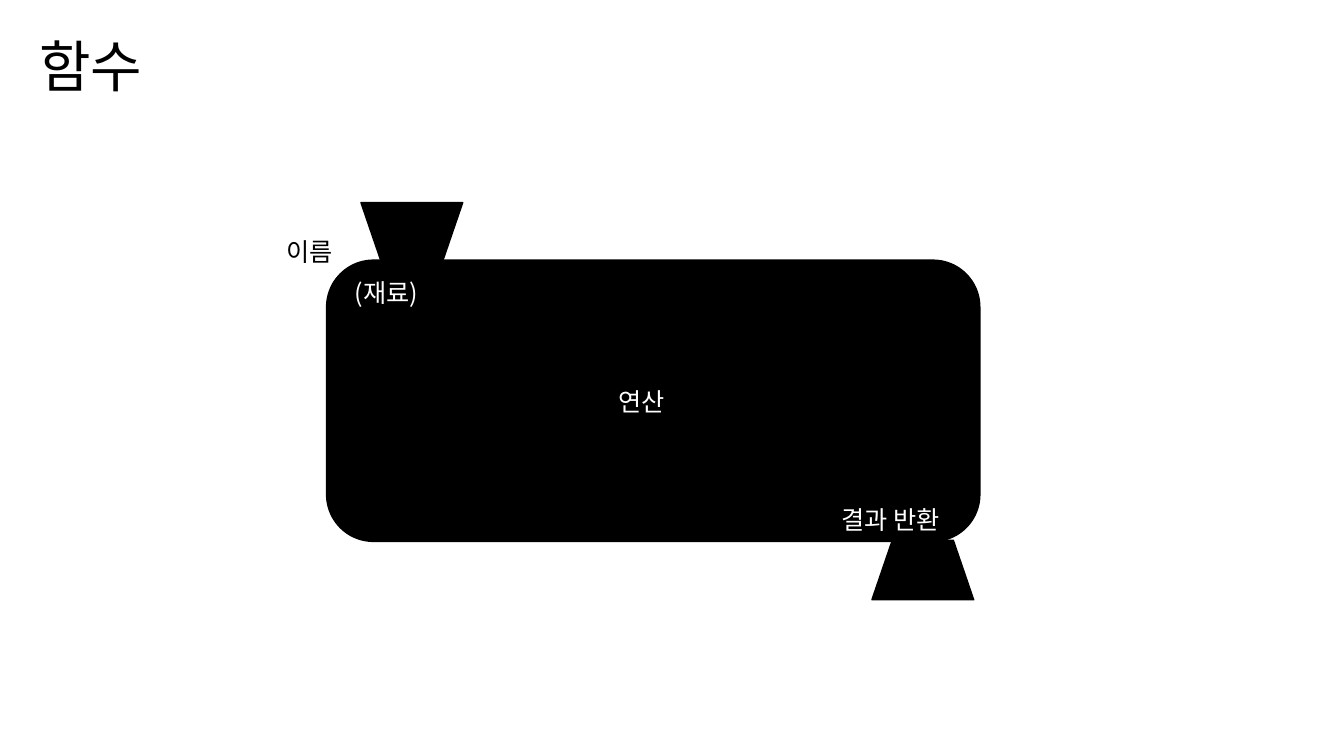
from dataclasses import dataclass

import lxml.etree
import pptx
import pptx.dml.color
import pptx.enum.shapes
import pptx.enum.text
import pptx.oxml.ns
import pptx.slide
import pptx.util

BLACK = pptx.dml.color.RGBColor(0x00, 0x00, 0x00)
WHITE = pptx.dml.color.RGBColor(0xFF, 0xFF, 0xFF)
FONT_NAME = "Noto Sans CJK KR"
AutoShape = pptx.enum.shapes.MSO_SHAPE


@dataclass(frozen=True)
class Box:
    left: float
    top: float
    width: float
    height: float

    def lengths(self) -> list[pptx.util.Length]:
        return [pptx.util.Pt(value) for value in (self.left, self.top, self.width, self.height)]


@dataclass(frozen=True)
class MachinePart:
    kind: AutoShape
    box: Box
    rotation: float = 0


@dataclass(frozen=True)
class Label:
    text: str
    box: Box
    color: pptx.dml.color.RGBColor = WHITE
    size: float = 18
    wrap: bool = True


MACHINE_PARTS = [
    MachinePart(AutoShape.ROUNDED_RECTANGLE, Box(233.3, 185.8, 466.6, 200.9)),
    MachinePart(AutoShape.FLOWCHART_MANUAL_OPERATION, Box(257.8, 144.7, 72.7, 42.5)),
    MachinePart(AutoShape.FLOWCHART_MANUAL_OPERATION, Box(622.8, 385.9, 72.7, 42.5), 180),
]

LABELS = [
    Label("함수", Box(20.9, 18.7, 260.6, 55.4), BLACK, 40),
    Label("(재료)", Box(246.2, 194.4, 162.7, 28.8)),
    Label("결과 반환", Box(594, 356.4, 102.2, 28.8)),
    Label("연산", Box(434.9, 272.2, 63.4, 28.8)),
    Label("이름", Box(197.3, 165.6, 51.1, 28.8), BLACK, wrap=False),
]


def draw_machine_part(slide: pptx.slide.Slide, part: MachinePart) -> None:
    shape = slide.shapes.add_shape(part.kind, *part.box.lengths())
    shape.rotation = part.rotation
    shape.shadow.inherit = False
    shape.fill.solid()
    shape.fill.fore_color.rgb = BLACK
    shape.line.color.rgb = BLACK
    shape.line.width = pptx.util.Pt(1)


def draw_label(slide: pptx.slide.Slide, label: Label) -> None:
    text_frame = slide.shapes.add_textbox(*label.box.lengths()).text_frame
    text_frame.word_wrap = label.wrap
    text_frame.auto_size = pptx.enum.text.MSO_AUTO_SIZE.SHAPE_TO_FIT_TEXT
    paragraph = text_frame.paragraphs[0]
    paragraph.text = label.text
    paragraph.font.size = pptx.util.Pt(label.size)
    paragraph.font.color.rgb = label.color
    paragraph.font.name = FONT_NAME
    properties = paragraph._p.pPr.find(pptx.oxml.ns.qn("a:defRPr"))
    lxml.etree.SubElement(properties, pptx.oxml.ns.qn("a:ea"), typeface=FONT_NAME)


def main() -> None:
    presentation = pptx.Presentation()
    presentation.slide_width = pptx.util.Pt(960)
    presentation.slide_height = pptx.util.Pt(540)
    slide = presentation.slides.add_slide(presentation.slide_layouts[6])
    for part in MACHINE_PARTS:
        draw_machine_part(slide, part)
    for label in LABELS:
        draw_label(slide, label)
    presentation.save("out.pptx")


if __name__ == "__main__":
    main()
